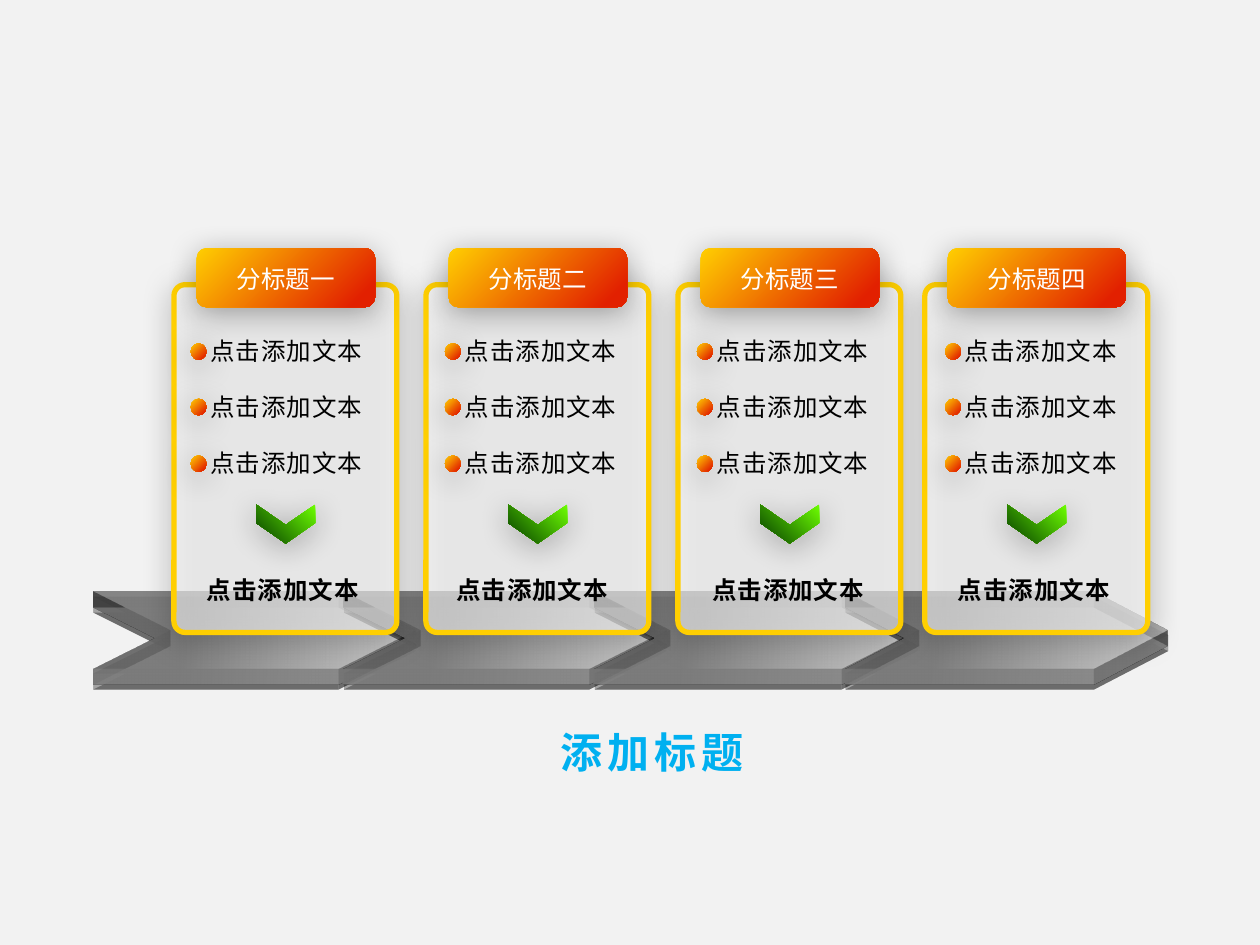
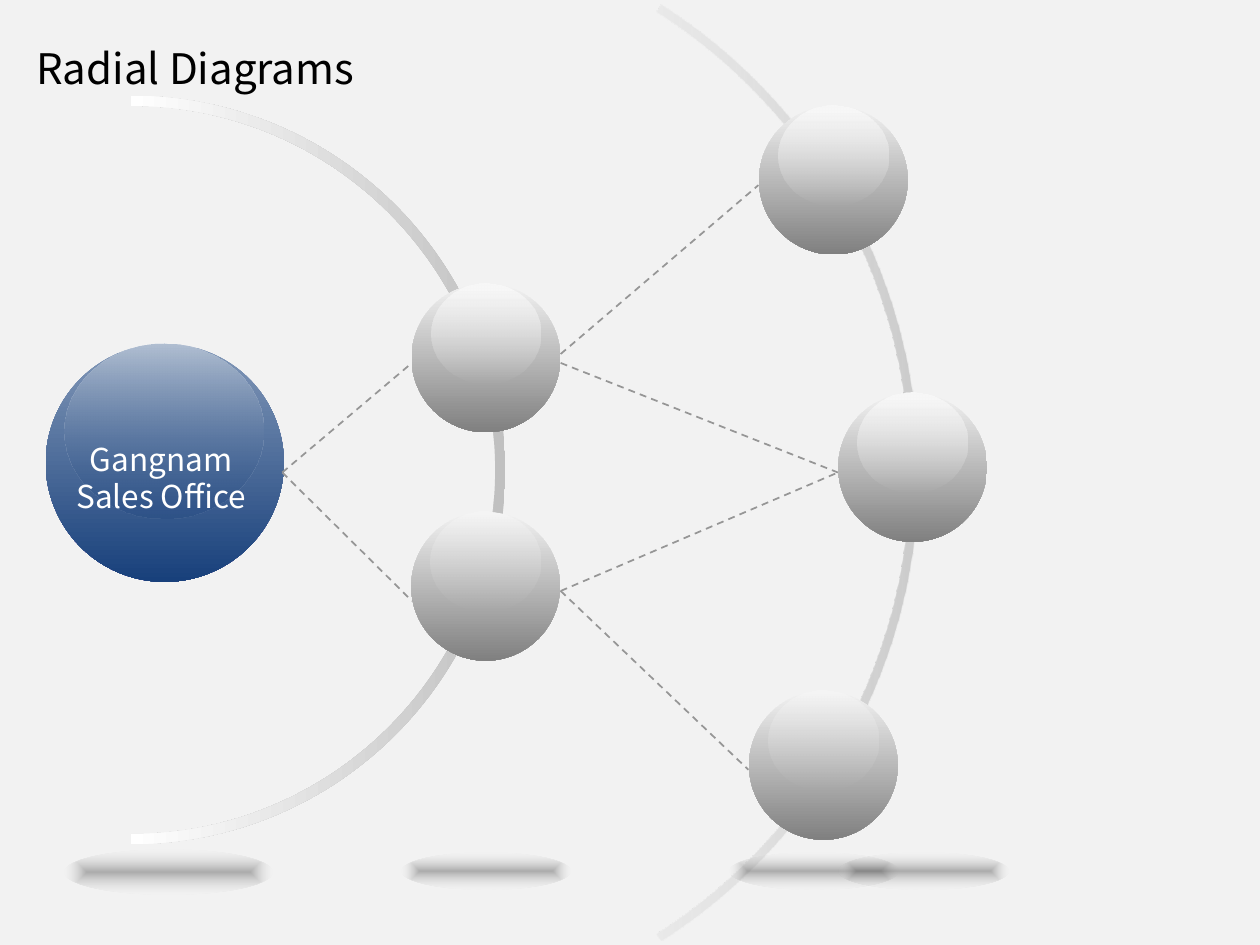
from dataclasses import dataclass
from math import cos, radians, sin, tan

from lxml import etree
from pptx import Presentation
from pptx.dml.color import RGBColor
from pptx.enum.dml import MSO_LINE
from pptx.enum.shapes import MSO_CONNECTOR, MSO_SHAPE
from pptx.enum.text import MSO_ANCHOR, PP_ALIGN
from pptx.oxml import parse_xml
from pptx.oxml.ns import nsdecls, qn
from pptx.util import Pt


@dataclass(frozen=True)
class Theme:
    """Colours, gradients, fonts and type sizes of the deck."""
    background: str = "F2F2F2"
    ink: str = "000000"
    paper: str = "FFFFFF"
    frame: str = "FFCF01"
    dash: str = "969696"
    accent: str = "00B0F0"
    accent_dark: str = "002774"
    outline: str = "F9FCFC"
    warm: tuple = ((0, "FFCF01", 100), (90, "E22000", 100))
    green: tuple = ((0, "6EFF01", 100), (90, "0F5000", 100))
    floor: tuple = ((25, "808080", 50), (100, "D9D9D9", 50))
    hub: tuple = ((0, "8298B8", 100), (100, "18407B", 100))
    hub_gloss: tuple = ((0, "B1BFD2", 100), (100, "18407B", 20))
    globe: tuple = ((0, "F2F2F2", 100), (100, "808080", 100))
    near_ring: tuple = ((0, "C0C0C0", 100), (50, "FFFFFF", 100), (100, "C0C0C0", 100))
    far_ring: tuple = ((0, "C0C0C0", 78), (50, "FFFFFF", 0), (100, "C0C0C0", 78))
    ground: tuple = ((0, "666666", 50), (100, "DDDDDD", 0))
    chinese: str = "Noto Sans CJK SC"
    latin: str = "Noto Sans CJK KR"
    title: int = 24
    hub_size: int = 18
    body: int = 14


THEME = Theme()

COLUMNS = (
    ("分标题一", 99.4, 113.2, 97.2),
    ("分标题二", 243.4, 258.5, 239.6),
    ("分标题三", 387.4, 402.5, 385.9),
    ("分标题四", 528.5, 544.3, 526.3),
)
ITEM = "点击添加文本"
ITEM_TOPS = (188.2, 219.9, 252.3)
GLOBES = ((235.2, 162, 100), (235, 292.5, 46), (428, 394.8, 46),
          (433.7, 60.4, 100), (479, 224.6, 100))
HUB_EDGE = (161.3, 270)
UPPER_EDGE = (320.4, 207.4)
LOWER_EDGE = (320.4, 337.7)
MIDDLE_EDGE = (478.8, 270)
LINKS = (
    (HUB_EDGE, (235.4, 207.4)),
    (HUB_EDGE, (235.4, 343.4)),
    (LOWER_EDGE, MIDDLE_EDGE),
    ((320.4, 202.3), (433.4, 105.8)),
    (UPPER_EDGE, MIDDLE_EDGE),
    (LOWER_EDGE, (427.7, 439.9)),
)


def color_xml(color, alpha=100):
    """Return a colour element with its opacity in percent."""
    return f'<a:srgbClr val="{color}"><a:alpha val="{alpha * 1000}"/></a:srgbClr>'


def gradient_xml(stops, angle=None):
    """Return a linear gradient, or one that follows the shape without an angle."""
    marks = "".join(f'<a:gs pos="{place * 1000}">{color_xml(color, alpha)}</a:gs>'
                    for place, color, alpha in stops)
    if angle is None:
        way = ('<a:path path="shape"><a:fillToRect l="50000" t="50000" '
               'r="50000" b="50000"/></a:path>')
    else:
        way = f'<a:lin ang="{angle * 60000}" scaled="0"/>'
    return parse_xml(f'<a:gradFill {nsdecls("a")} rotWithShape="1">'
                     f'<a:gsLst>{marks}</a:gsLst>{way}</a:gradFill>')


def paint(shape, stops, angle=None):
    """Fill a shape with a gradient and take away its line and shadow."""
    shape.shadow.inherit = False
    shape.line.fill.background()
    shape.fill.background()
    properties = shape._element.spPr
    properties.replace(properties.find(qn("a:noFill")), gradient_xml(stops, angle))


def cast_shadow(shape):
    """Give a shape the soft shadow of the first slide."""
    effects = shape._element.spPr.find(qn("a:effectLst"))
    effects.append(parse_xml(
        f'<a:outerShdw {nsdecls("a")} blurRad="{Pt(17.8)}" dist="{Pt(3)}" '
        f'dir="{87 * 60000}" algn="ctr" rotWithShape="0">'
        f'{color_xml(THEME.ink, 33)}</a:outerShdw>'))


def add_preset(slide, kind, box, stops, angle=None, adjust=None, shadow=False):
    """Add a preset shape with a gradient."""
    shape = slide.shapes.add_shape(kind, *map(Pt, box))
    paint(shape, stops, angle)
    if adjust is not None:
        shape.adjustments[0] = adjust
    if shadow:
        cast_shadow(shape)
    return shape


def write_text(holder, text, *, size, font, color=THEME.ink, bold=False,
               align=PP_ALIGN.CENTER, anchor=MSO_ANCHOR.MIDDLE, wrap=True,
               margins=(7.2, 3.6, 7.2, 3.6), spacing=0):
    """Write text in a shape and format it; return its runs."""
    frame = holder.text_frame
    frame.word_wrap = wrap
    frame.vertical_anchor = anchor
    (frame.margin_left, frame.margin_top,
     frame.margin_right, frame.margin_bottom) = map(Pt, margins)
    frame.text = text
    runs = []
    for paragraph in frame.paragraphs:
        paragraph.alignment = align
        for run in paragraph.runs:
            run.font.size = Pt(size)
            run.font.bold = bold
            run.font.name = font
            run.font.color.rgb = RGBColor.from_string(color)
            properties = run._r.get_or_add_rPr()
            east_asian = etree.Element(qn("a:ea"), typeface=font)
            properties.find(qn("a:latin")).addnext(east_asian)
            if spacing:
                properties.set("spc", str(int(spacing * 100)))
            runs.append(run)
    return runs


def add_text(slide, box, text, **style):
    """Add a text box."""
    return write_text(slide.shapes.add_textbox(*map(Pt, box)), text, **style)


def set_title(slide, box, text, **style):
    """Place and write the title of a slide."""
    title = slide.shapes.title
    title.left, title.top, title.width, title.height = map(Pt, box)
    return write_text(title, text, size=THEME.title, **style)


def add_slide(deck):
    """Add a title-only slide on the shared background."""
    slide = deck.slides.add_slide(deck.slide_layouts[5])
    slide.background.fill.solid()
    slide.background.fill.fore_color.rgb = RGBColor.from_string(THEME.background)
    return slide


def add_floor_arrow(slide, left, adjust):
    """Add a chevron laid flat as a thick floor tile."""
    arrow = add_preset(slide, MSO_SHAPE.CHEVRON, (left, 275, 184.3, 169.9),
                       THEME.floor, 0, adjust, shadow=True)
    properties = arrow._element.spPr
    properties.append(parse_xml(
        f'<a:scene3d {nsdecls("a")}><a:camera prst="orthographicFront">'
        '<a:rot lat="17100000" lon="0" rev="0"/></a:camera>'
        '<a:lightRig rig="threePt" dir="t"/></a:scene3d>'))
    properties.append(parse_xml(
        f'<a:sp3d {nsdecls("a")} extrusionH="{Pt(9.5)}"><a:extrusionClr>'
        f'{color_xml(THEME.paper)}</a:extrusionClr></a:sp3d>'))


def add_card(slide, heading, left, item_left, conclusion_left):
    """Add a framed card with heading, three items, arrow and conclusion."""
    frame = slide.shapes.add_shape(MSO_SHAPE.ROUNDED_RECTANGLE,
                                   *map(Pt, (left, 162.7, 127.4, 198.7)))
    frame.adjustments[0] = 0.05
    frame.shadow.inherit = False
    frame.fill.solid()
    frame.fill.fore_color.rgb = RGBColor.from_string(THEME.paper)
    tint = frame._element.spPr.find(qn("a:solidFill"))[0]
    etree.SubElement(tint, qn("a:alpha"), val="60000")
    frame.line.color.rgb = RGBColor.from_string(THEME.frame)
    frame.line.width = Pt(3)
    cast_shadow(frame)

    style = dict(size=THEME.body, font=THEME.chinese)
    add_preset(slide, MSO_SHAPE.ROUNDED_RECTANGLE, (left + 13, 141.8, 101.9, 33.8),
               THEME.warm, 45, shadow=True)
    add_text(slide, (left + 9.2, 147.2, 109.4, 24.5), heading,
             color=THEME.paper, **style)
    for top in ITEM_TOPS:
        add_text(slide, (item_left, top, 112.3, 24.5), ITEM,
                 align=PP_ALIGN.LEFT, spacing=0.5, **style)
        add_preset(slide, MSO_SHAPE.OVAL, (item_left - 4.2, top + 8, 9, 9.4),
                   THEME.warm, 45, shadow=True)
    arrow = add_preset(slide, MSO_SHAPE.CHEVRON, (left + 52.7, 282.5, 22.3, 33.8),
                       THEME.green, 45, 0.525, shadow=True)
    arrow.rotation = 90
    add_text(slide, (conclusion_left, 325, 128.9, 24.5), ITEM,
             bold=True, spacing=0.5, **style)


def build_cards(deck):
    """Build the slide of four cards on a floor of arrows."""
    slide = add_slide(deck)
    for index, adjust in enumerate((0.26, 0.26, 0.255, 0.249)):
        add_floor_arrow(slide, 53.2 + index * 143.28, adjust)
    runs = set_title(slide, (236.4, 411.8, 272.2, 36), "添加标题",
                     font=THEME.chinese, bold=True, spacing=3)
    properties = runs[0]._r.get_or_add_rPr()
    stops = ((10, THEME.accent, 100), (75, THEME.accent_dark, 100))
    properties.replace(properties.find(qn("a:solidFill")), gradient_xml(stops, 90))
    properties.insert(0, parse_xml(
        f'<a:ln {nsdecls("a")} w="{Pt(1)}"><a:solidFill>'
        f'{color_xml(THEME.outline)}</a:solidFill></a:ln>'))
    properties.find(qn("a:gradFill")).addnext(parse_xml(
        f'<a:effectLst {nsdecls("a")}><a:outerShdw dist="{Pt(1.5)}" '
        f'dir="{45 * 60000}">{color_xml(THEME.accent, 40)}</a:outerShdw></a:effectLst>'))
    for column in COLUMNS:
        add_card(slide, *column)


def add_ring(slide, left, top, side, thickness, sweep, stops):
    """Add a band of two curves per edge inside a square, turned to the right."""
    center = side / 2
    reach = 4 / 3 * tan(radians(sweep) / 4)

    def spot(radius, degrees, pull=0):
        turn = radians(degrees)
        return (Pt(center + radius * (sin(turn) + pull * cos(turn))),
                Pt(center - radius * (cos(turn) - pull * sin(turn))))

    def mark(point):
        return f'<a:pt x="{point[0]}" y="{point[1]}"/>'

    def curve(radius, start, end):
        pull = reach if end > start else -reach
        points = (spot(radius, start, pull), spot(radius, end, -pull), spot(radius, end))
        return f'<a:cubicBezTo>{"".join(map(mark, points))}</a:cubicBezTo>'

    inner = center - thickness
    builder = slide.shapes.build_freeform(0, 0)
    builder.add_line_segments([(Pt(side), 0), (Pt(side), Pt(side))], close=True)
    ring = builder.convert_to_shape()
    outline = ring._element.spPr.find(".//" + qn("a:path"))
    outline.getparent().replace(outline, parse_xml(
        f'<a:path {nsdecls("a")} w="{Pt(side)}" h="{Pt(side)}">'
        f'<a:moveTo>{mark(spot(inner, -sweep))}</a:moveTo>'
        f'{curve(inner, -sweep, 0)}{curve(inner, 0, sweep)}'
        f'<a:lnTo>{mark(spot(center, sweep))}</a:lnTo>'
        f'{curve(center, sweep, 0)}{curve(center, 0, -sweep)}<a:close/></a:path>'))
    ring.left, ring.top, ring.width, ring.height = map(Pt, (left, top, side, side))
    ring.rotation = 90
    paint(ring, stops, 90)


def add_link(slide, start, end):
    """Add a dashed line between two points."""
    link = slide.shapes.add_connector(MSO_CONNECTOR.STRAIGHT, *map(Pt, start + end))
    link.line.color.rgb = RGBColor.from_string(THEME.dash)
    link.line.width = Pt(1)
    link.line.dash_style = MSO_LINE.DASH
    etree.SubElement(link._element.spPr, qn("a:effectLst"))


def add_globe(slide, left, top, shine):
    """Add a grey globe with a gloss."""
    gloss = ((0, "F8F8F8", shine), (100, "DDDDDD", 0))
    add_preset(slide, MSO_SHAPE.OVAL, (left, top, 85, 85), THEME.globe, 90)
    add_preset(slide, MSO_SHAPE.OVAL, (left + 11.2, top, 62.6, 56.9), gloss, 90)


def build_radial(deck):
    """Build the slide of globes on two rings."""
    slide = add_slide(deck)
    set_title(slide, (19.8, 20.4, 183.6, 23.8), "Radial Diagrams", font=THEME.latin,
              anchor=MSO_ANCHOR.TOP, wrap=False, margins=(0, 3.6, 0, 3.6))
    add_preset(slide, MSO_SHAPE.OVAL, (26.1, 196.4, 136.1, 136.1), THEME.hub, 90)
    add_preset(slide, MSO_SHAPE.OVAL, (36.7, 196.4, 113.8, 100), THEME.hub_gloss, 90)
    add_text(slide, (33.1, 247.7, 118.1, 36), "Gangnam\nSales Office",
             size=THEME.hub_size, font=THEME.latin, color=THEME.paper,
             anchor=MSO_ANCHOR.TOP, wrap=False)
    add_ring(slide, -139, 54.7, 427.7, 5.8, 90, THEME.near_ring)
    add_ring(slide, -110.9, -47.5, 635, 5, 57.4, THEME.far_ring)
    for globe in GLOBES[:-1]:
        add_globe(slide, *globe)
    for start, end in LINKS:
        add_link(slide, start, end)
    add_globe(slide, *GLOBES[-1])
    add_preset(slide, MSO_SHAPE.OVAL, (36.7, 485.3, 118.8, 25.9), THEME.ground)
    for left in (229.7, 416.9, 479.5):
        add_preset(slide, MSO_SHAPE.OVAL, (left, 487.4, 96.5, 20.9), THEME.ground)


def main():
    """Build and save the deck."""
    deck = Presentation()
    deck.slide_width, deck.slide_height = Pt(720), Pt(540)
    build_cards(deck)
    build_radial(deck)
    deck.save("out.pptx")


if __name__ == "__main__":
    main()
